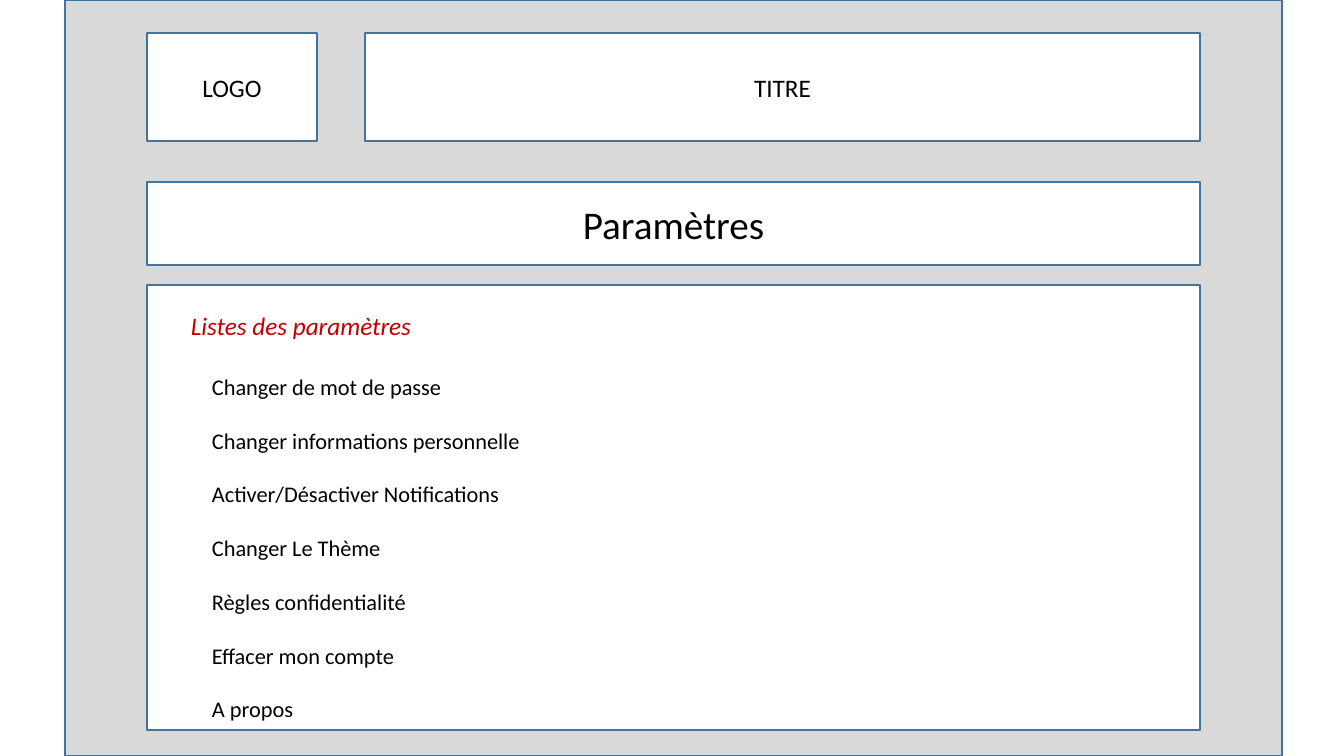
from pptx import Presentation
from pptx.dml.color import RGBColor
from pptx.enum.shapes import MSO_SHAPE
from pptx.enum.text import MSO_ANCHOR, PP_ALIGN
from pptx.util import Pt

PX = 914400 / 100.8
LINE_GAP = 19.2

prs = Presentation()
prs.slide_width, prs.slide_height = round(1344 * PX), round(756 * PX)
slide = prs.slides.add_slide(prs.slide_layouts[6])


def color(value):
    return RGBColor.from_string(value)


def write(paragraph, text, size, ink="000000", italic=None):
    run = paragraph.add_run()
    run.text = text
    run.font.name = "Calibri"
    run.font.size = Pt(size)
    run.font.italic = italic
    run.font.color.rgb = color(ink)


panels = [
    ((65, 0, 1217, 756), "D9D9D9", "", 18),
    ((147, 33, 170, 108), "FFFFFF", "LOGO", 18),
    ((365, 33, 835, 108), "FFFFFF", "TITRE", 18),
    ((147, 182, 1053, 83), "FFFFFF", "Paramètres", 28),
    ((147, 285, 1053, 445), "FFFFFF", "", 18),
]
for box, fill, label, size in panels:
    panel = slide.shapes.add_shape(MSO_SHAPE.RECTANGLE, *(round(v * PX) for v in box))
    panel.shadow.inherit = False
    panel.fill.solid()
    panel.fill.fore_color.rgb = color(fill)
    panel.line.color.rgb = color("43739E")
    panel.line.width = Pt(1)
    if label:
        panel.text_frame.vertical_anchor = MSO_ANCHOR.MIDDLE
        paragraph = panel.text_frame.paragraphs[0]
        paragraph.alignment = PP_ALIGN.CENTER
        write(paragraph, label, size)

settings = [
    "Changer de mot de passe",
    "Changer informations personnelle ",
    "Activer/Désactiver Notifications",
    "Changer Le Thème",
    "Règles confidentialité",
    "Effacer mon compte",
    "A propos",
]
texts = [
    ((181, 305, 250, 40), ["Listes des paramètres"], 18, "C00000", True),
    ((202, 368, 376, 373), settings, 16, "000000", None),
]
for box, lines, size, ink, italic in texts:
    frame = slide.shapes.add_textbox(*(round(v * PX) for v in box)).text_frame
    frame.word_wrap = True
    for i, line in enumerate(lines):
        paragraph = frame.add_paragraph() if i else frame.paragraphs[0]
        if i:
            paragraph.space_before = Pt(LINE_GAP)
        write(paragraph, line, size, ink, italic)

prs.save("out.pptx")
